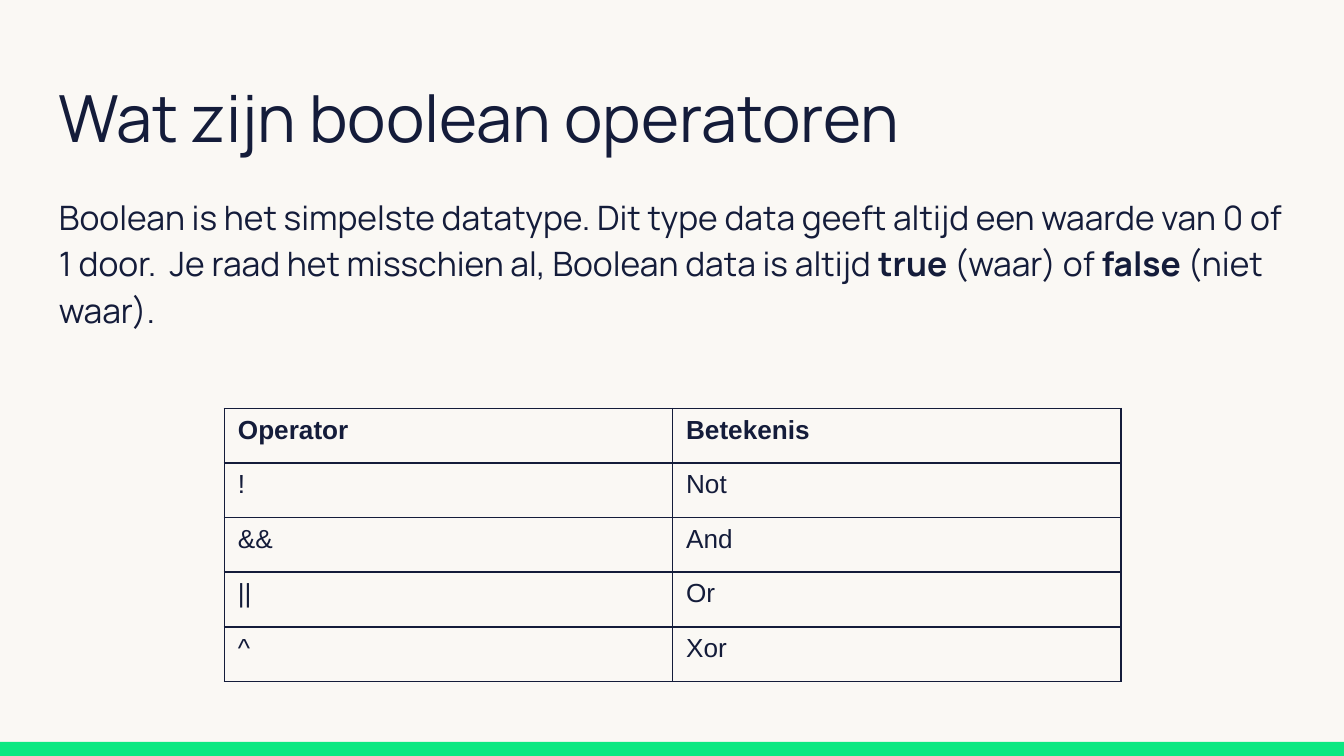
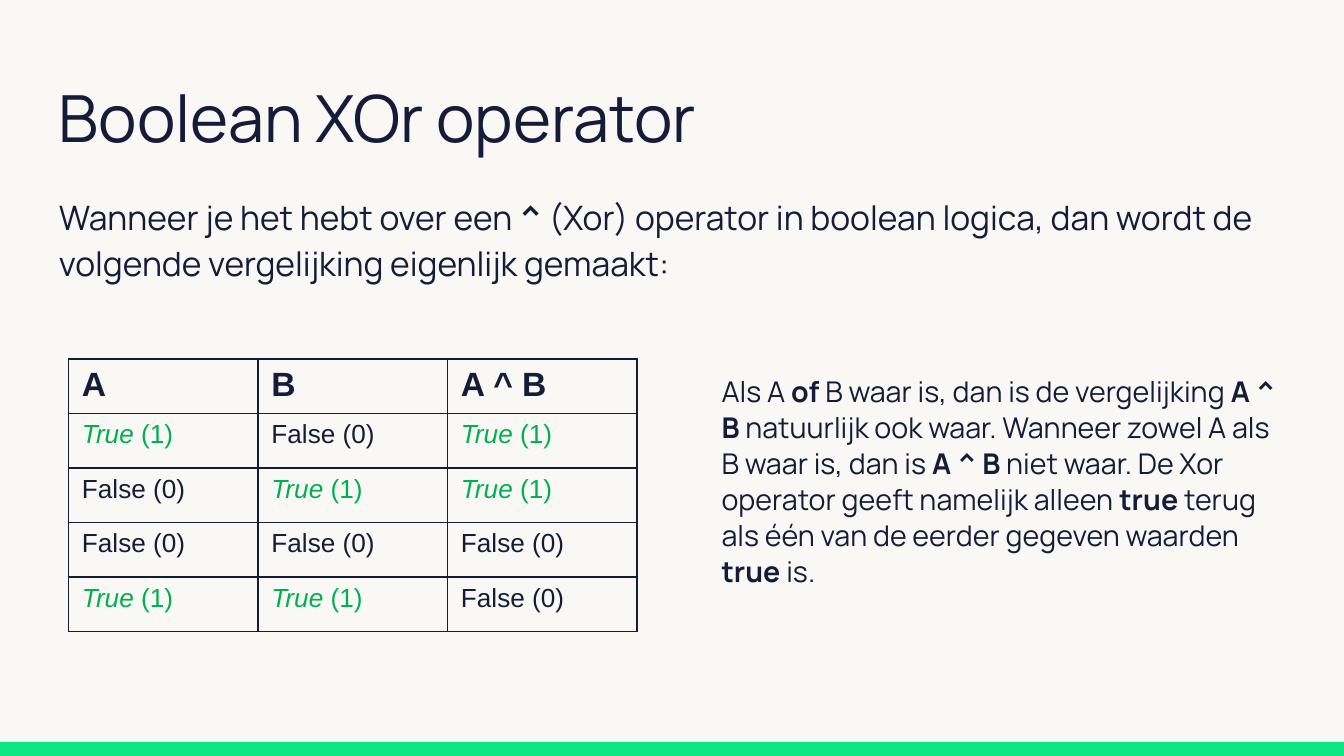
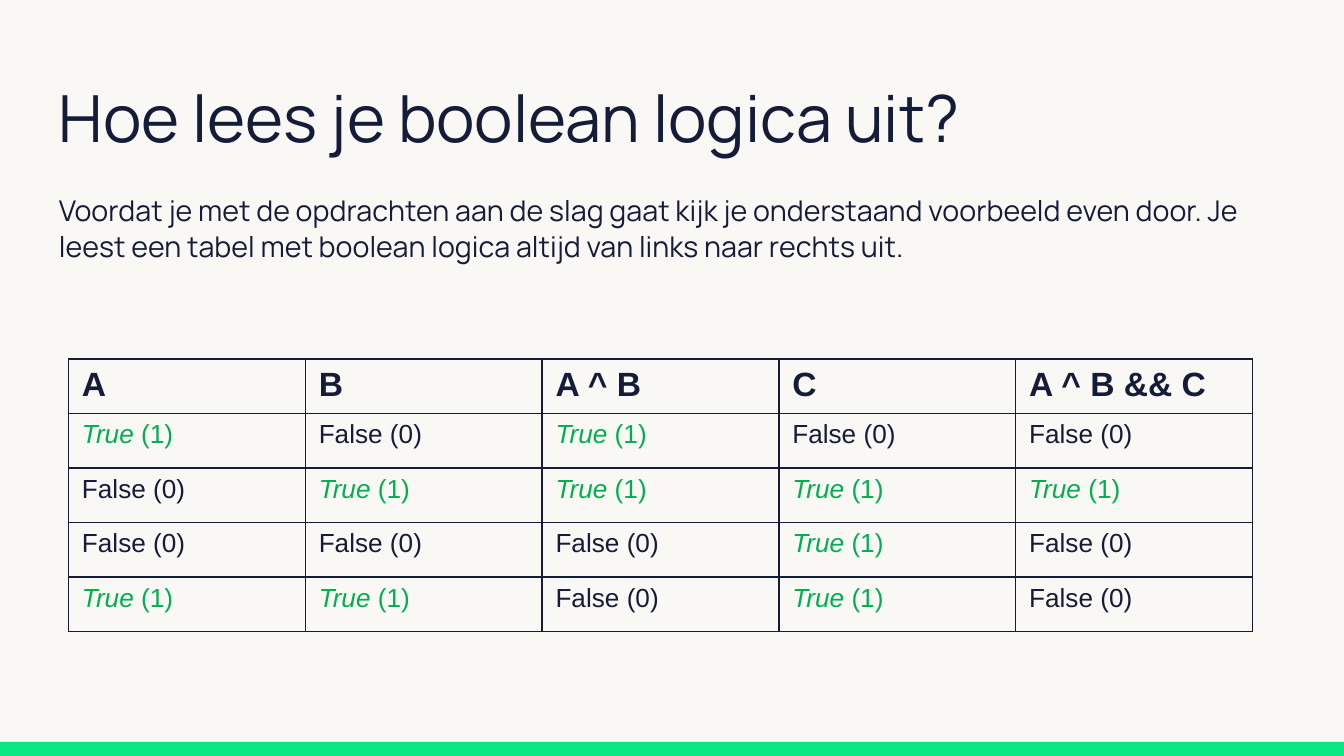
"""Build three slides on boolean operators, with text and truth tables."""
import dataclasses

import pptx
import pptx.dml.color
import pptx.enum.shapes
import pptx.enum.text
import pptx.oxml
import pptx.oxml.ns
import pptx.util

Inches = pptx.util.Inches


@dataclasses.dataclass(frozen=True)
class Theme:
    paper: str = "FAF8F4"
    ink: str = "141C3A"
    band: str = "0BE881"
    true: str = "00B050"
    text_font: str = "Manrope"
    table_font: str = "Arial"
    title: float = 34.8
    lead: float = 18
    note: float = 15.3
    cell: float = 14
    left: float = 0.34
    width: float = 9.32
    table_left: float = 0.51
    table_top: float = 2.67
    table_height: float = 2.03


THEME = Theme()
ANCHOR = pptx.enum.text.MSO_ANCHOR
SPACING = {THEME.title: 1, THEME.lead: 1.15, THEME.note: 1.05}
BORDER = (
    '<a:{side} {ns} w="12700"><a:solidFill><a:srgbClr val="{color}"/></a:solidFill>'
    '<a:prstDash val="solid"/></a:{side}>'
)


def rgb(color):
    return pptx.dml.color.RGBColor.from_string(color)


def set_attributes(obj, values):
    for name, value in values.items():
        setattr(obj, name, value)


def add_run(p, text, font, size, color=THEME.ink, **style):
    r = p.add_run()
    r.text = text
    set_attributes(r.font, {"name": font, "size": pptx.util.Pt(size), **style})
    r.font.color.rgb = rgb(color)


def add_text(slide, box, text, size, anchor=ANCHOR.TOP):
    """Add a wrapped text box; parts between double asterisks are bold."""
    tf = slide.shapes.add_textbox(*map(Inches, box)).text_frame
    margins = {f"margin_{side}": Inches(0.1) for side in ("left", "right", "top", "bottom")}
    set_attributes(tf, {"word_wrap": True, "vertical_anchor": anchor, **margins})
    p = tf.paragraphs[0]
    p.line_spacing = SPACING[size]
    for i, part in enumerate(text.split("**")):
        add_run(p, part, THEME.text_font, size, bold=i % 2 == 1)


def add_slide(prs, title):
    slide = prs.slides.add_slide(prs.slide_layouts[6])
    fill = slide.background.fill
    fill.solid()
    fill.fore_color.rgb = rgb(THEME.paper)
    sp = slide.shapes.add_shape(
        pptx.enum.shapes.MSO_SHAPE.RECTANGLE, 0, Inches(5.52), prs.slide_width, Inches(0.11)
    )
    sp.shadow.inherit = False
    sp.fill.solid()
    sp.fill.fore_color.rgb = rgb(THEME.band)
    sp.line.fill.background()
    add_text(slide, (THEME.left, 0.35, THEME.width, 0.91), title, THEME.title, ANCHOR.BOTTOM)
    return slide


def add_body(slide, text, size, height=0.91):
    add_text(slide, (THEME.left, 1.32, THEME.width, height), text, size)


def style_cell(cell):
    """Draw the four borders and leave the cell unfilled."""
    tc_pr = cell._tc.get_or_add_tcPr()
    for side in ("lnL", "lnR", "lnT", "lnB"):
        xml = BORDER.format(side=side, ns=pptx.oxml.ns.nsdecls("a"), color=THEME.ink)
        tc_pr.append(pptx.oxml.parse_xml(xml))
    cell.fill.background()


def fill_cell(cell, value):
    """Write a truth value or a plain string."""
    p = cell.text_frame.paragraphs[0]
    font = (THEME.table_font, THEME.cell)
    if value is True:
        add_run(p, "True ", *font, THEME.true, bold=False, italic=True)
        add_run(p, "(1)", *font, THEME.true, bold=False)
    else:
        add_run(p, "False (0)" if value is False else value, *font, bold=False)


def add_grid(slide, left, top, width, header, rows, header_size):
    frame = slide.shapes.add_table(
        len(rows) + 1, len(header), *map(Inches, (left, top, width, THEME.table_height))
    )
    table = frame.table
    set_attributes(table, {"first_row": False, "horz_banding": False})
    for cell in table.iter_cells():
        style_cell(cell)
    for col, text in enumerate(header):
        p = table.cell(0, col).text_frame.paragraphs[0]
        add_run(p, text, THEME.table_font, header_size, bold=True)
    for row, values in enumerate(rows, 1):
        for col, value in enumerate(values):
            fill_cell(table.cell(row, col), value)


def add_truth_table(slide, width, header, rows):
    add_grid(slide, THEME.table_left, THEME.table_top, width, header, rows, THEME.lead)


def add_operators_slide(prs):
    slide = add_slide(prs, "Wat zijn boolean operatoren")
    add_body(
        slide,
        "Boolean is het simpelste datatype. Dit type data geeft altijd een waarde van 0 of 1 "
        "door.  Je raad het misschien al, Boolean data is altijd **true **(waar) of "
        "**false **(niet waar).",
        THEME.lead,
        3.67,
    )
    operators = [("!", "Not"), ("&&", "And"), ("||", "Or"), ("^", "Xor")]
    add_grid(slide, 1.67, 3.04, 6.67, ("Operator", "Betekenis"), operators, THEME.cell)


def add_xor_slide(prs, inputs):
    slide = add_slide(prs, "Boolean XOr operator")
    add_body(
        slide,
        "Wanneer je het hebt over een **^ **(Xor) operator in boolean logica, dan wordt de "
        "volgende vergelijking eigenlijk gemaakt:",
        THEME.lead,
    )
    add_truth_table(slide, 4.23, ("A", "B", "A ^ B"), [(a, b, a ^ b) for a, b in inputs])
    add_text(
        slide,
        (5.27, THEME.table_top, 4.39, THEME.table_height),
        "Als A **of **B waar is, dan is de vergelijking **A ^ B **natuurlijk ook waar. "
        "Wanneer zowel A als B waar is, dan is **A ^ B **niet waar. De Xor operator geeft "
        "namelijk alleen **true **terug als één van de eerder gegeven waarden **true** is.",
        THEME.note,
    )


def add_reading_slide(prs, inputs):
    slide = add_slide(prs, "Hoe lees je boolean logica uit?")
    add_body(
        slide,
        "Voordat je met de opdrachten aan de slag gaat kijk je onderstaand voorbeeld even "
        "door. Je leest een tabel met boolean logica altijd van links naar rechts uit.",
        THEME.note,
    )
    c_values = (False, True, True, True)
    rows = [(a, b, a ^ b, c, (a ^ b) and c) for (a, b), c in zip(inputs, c_values)]
    add_truth_table(slide, 8.81, ("A", "B", "A ^ B", "C", "A ^ B && C"), rows)


def main():
    prs = pptx.Presentation()
    set_attributes(prs, {"slide_width": Inches(10), "slide_height": Inches(10 * 9 / 16)})
    inputs = [(True, False), (False, True), (False, False), (True, True)]
    add_operators_slide(prs)
    add_xor_slide(prs, inputs)
    add_reading_slide(prs, inputs)
    prs.save("out.pptx")


if __name__ == "__main__":
    main()
